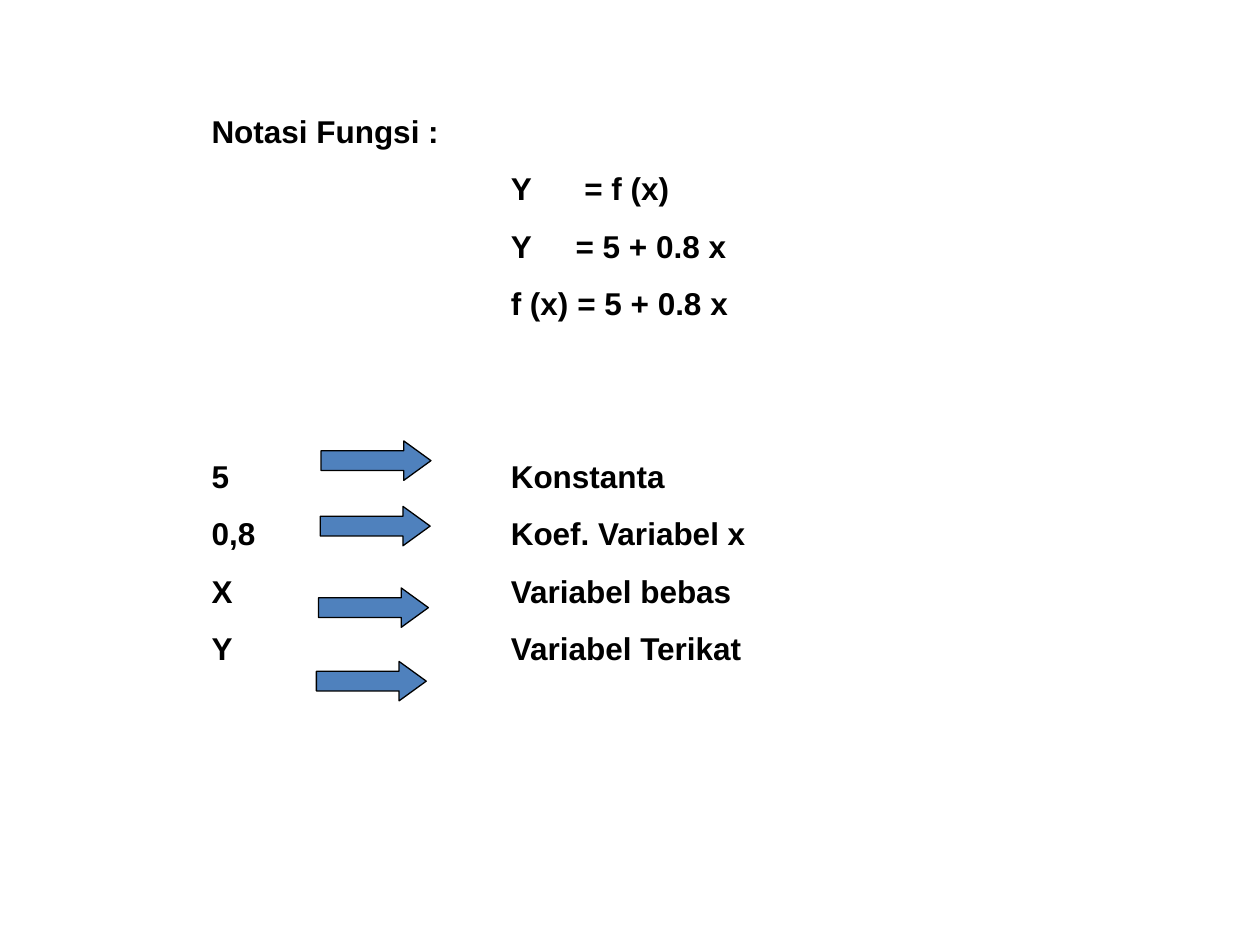
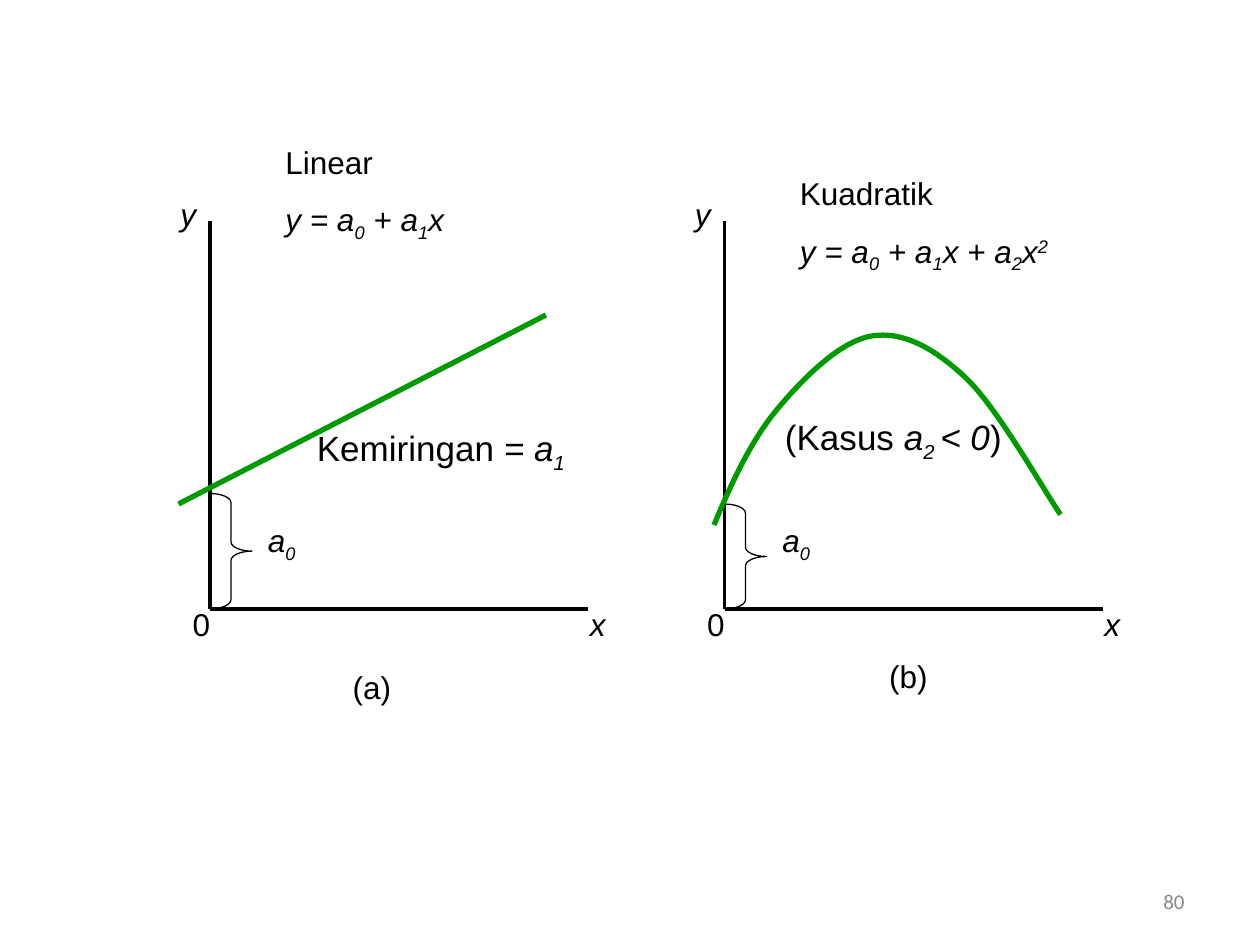
from lxml import etree
from pptx import Presentation
from pptx.dml.color import RGBColor
from pptx.enum import shapes, text
from pptx.oxml.ns import qn
from pptx.util import Pt

BLACK, BLUE, GREEN, GRAY = "000000", "4F81BD", "009900", "898989"
GAP = 11.2  # space before a paragraph
SUB, SUP = -25, 30


def color(code):
    return RGBColor.from_string(code)


class Deck:
    """Shared style and the current slide."""

    def __init__(self):
        self.prs = Presentation()
        self.prs.slide_width, self.prs.slide_height = Pt(720), Pt(540)

    def page(self):
        self.items = self.prs.slides.add_slide(self.prs.slide_layouts[6]).shapes

    def box(self, x, y, w, h, paras, size=18, font="Arial", tone=BLACK,
            align="LEFT", anchor="TOP"):
        """Each paragraph is (runs, space before, tab stops);
        each run is (words, style letters, baseline)."""
        frame = self.items.add_textbox(Pt(x), Pt(y), Pt(w), Pt(h)).text_frame
        frame.word_wrap = True
        frame.vertical_anchor = getattr(text.MSO_ANCHOR, anchor)
        for i, (runs, gap, stops) in enumerate(paras):
            para = frame.add_paragraph() if i else frame.paragraphs[0]
            para.alignment = getattr(text.PP_ALIGN, align)
            para.space_before = Pt(gap)
            if stops:
                tabs = etree.SubElement(para._p.get_or_add_pPr(), qn("a:tabLst"))
                for stop in stops:
                    etree.SubElement(tabs, qn("a:tab"), pos=str(Pt(stop)), algn="l")
            for words, style, base in runs:
                run = para.add_run()
                run.text = words
                run.font.name, run.font.size = font, Pt(size)
                run.font.color.rgb = color(tone)
                run.font.bold, run.font.italic = "b" in style, "i" in style
                if base:
                    run.font._element.set("baseline", str(base * 1000))

    def label(self, x, y, w, *runs, h=28.8, **style):
        self.box(x, y, w, h, [(runs, 0, ())], **style)

    def paint(self, shape, width, tone=BLACK, fill=None):
        shape.shadow.inherit = False
        if fill:
            shape.fill.solid()
            shape.fill.fore_color.rgb = color(fill)
        else:
            shape.fill.background()
        shape.line.color.rgb = color(tone)
        shape.line.width = Pt(width)

    def form(self, kind, x, y, w, h, adjust, fill=None):
        shape = self.items.add_shape(getattr(shapes.MSO_SHAPE, kind),
                                     Pt(x), Pt(y), Pt(w), Pt(h))
        for i, value in enumerate(adjust):
            shape.adjustments[i] = value
        self.paint(shape, 0.75, fill=fill)

    def line(self, x1, y1, x2, y2, width=2.25, tone=BLACK):
        line = self.items.add_connector(shapes.MSO_CONNECTOR.STRAIGHT,
                                        Pt(x1), Pt(y1), Pt(x2), Pt(y2))
        line.line.color.rgb = color(tone)
        line.line.width = Pt(width)
        etree.SubElement(line._element.spPr, qn("a:effectLst"))

    def curve(self, knots, width, tone, steps=16):
        """Draw chained cubic Bezier pieces as one fine outline."""
        dots = []
        for k in range(0, len(knots) - 1, 3):
            a, b, c, d = knots[k:k + 4]
            for n in range(1, steps + 1):
                t = n / steps
                s = 1 - t
                dots.append(tuple(
                    Pt(s**3 * a[j] + 3 * s * s * t * b[j] + 3 * s * t * t * c[j] + t**3 * d[j])
                    for j in (0, 1)))
        path = self.items.build_freeform(Pt(knots[0][0]), Pt(knots[0][1]))
        path.add_line_segments(dots, close=False)
        self.paint(path.convert_to_shape(), width, tone)

    def plot(self, x, brace):
        """Axes with their labels and the brace that marks the intercept."""
        top, base = 126, 348
        self.line(x, top, x, base)
        self.line(x, base, x + 216, base)
        self.label(x + 210, 342, 30, ("x", "i", 0))
        self.label(x - 24, 108, 30, ("y", "i", 0))
        self.label(x - 17, 342, 26, ("0", "", 0))
        self.form("RIGHT_BRACE", x, brace, 24, base - brace, (0.22, 0.5))
        self.label(x + 26, 294, 40, ("a", "i", 0), ("0", "i", SUB))


def notation(deck):
    deck.page()
    col = 171  # second text column
    rows = [("Notasi Fungsi :", 0, col),
            ("\tY\t= f (x)", GAP, col + 42),
            ("\tY\t= 5 + 0.8 x", GAP, col + 37),
            ("\tf (x)\t= 5 + 0.8 x", GAP, col + 38),
            ("5\tKonstanta", 77, col),
            ("0,8\tKoef. Variabel x", GAP, col),
            ("X\tVariabel bebas", GAP, col),
            ("Y\tVariabel Terikat", GAP, col)]
    deck.box(113.8, 60.5, 566.6, 324.7,
             [([(words, "b", 0)], gap, sorted({col, stop})) for words, gap, stop in rows])
    for x, y in ((183.5, 252), (183, 289.4), (182, 336), (180.8, 378)):
        deck.form("RIGHT_ARROW", x, y, 62.8, 22.5, (0.5, 0.69), BLUE)


def graphs(deck):
    deck.page()
    left, right = 120, 414

    # Linear graph
    deck.plot(left, 282)
    deck.line(102, 288, 312, 180, 3, GREEN)
    start = [("y = a", "i", 0), ("0", "i", SUB), (" + a", "i", 0), ("1", "i", SUB)]
    deck.box(156, 78, 162, 64.8,
             [([("Linear", "", 0)], 0, ()),
              (start + [("x", "i", 0)], GAP, ())])
    deck.label(174, 240, 169, ("Kemiringan", "", 0), (" = a", "i", 0),
               ("1", "i", SUB), h=34.6, size=20)
    deck.label(194.4, 378, 40, ("(a)", "", 0))

    # Quadratic graph
    deck.plot(right, 288)
    deck.curve([(408, 300), (418, 276), (429, 252), (444, 234),
                (459, 216), (480, 195), (498, 192),
                (516, 189), (534, 199), (552, 216),
                (570, 233), (597, 281), (606, 294)], 3, GREEN)
    deck.box(450, 96, 210, 64.8,
             [([("Kuadratik", "", 0)], 0, ()),
              (start + [("x + a", "i", 0), ("2", "i", SUB), ("x", "i", 0),
                        ("2", "i", SUP)], GAP, ())])
    deck.label(426, 234, 169, ("(Kasus", "", 0), (" a", "i", 0), ("2 ", "i", SUB),
               ("< 0", "i", 0), (")", "", 0), h=34.6, size=20, align="CENTER")
    deck.label(501, 372, 40, ("(b)", "", 0))

    # Page number
    deck.label(516, 500.5, 168, ("80", "", 0), size=12, font="Calibri",
               tone=GRAY, align="RIGHT", anchor="MIDDLE")


def main():
    deck = Deck()
    notation(deck)
    graphs(deck)
    deck.prs.save("out.pptx")


if __name__ == "__main__":
    main()
